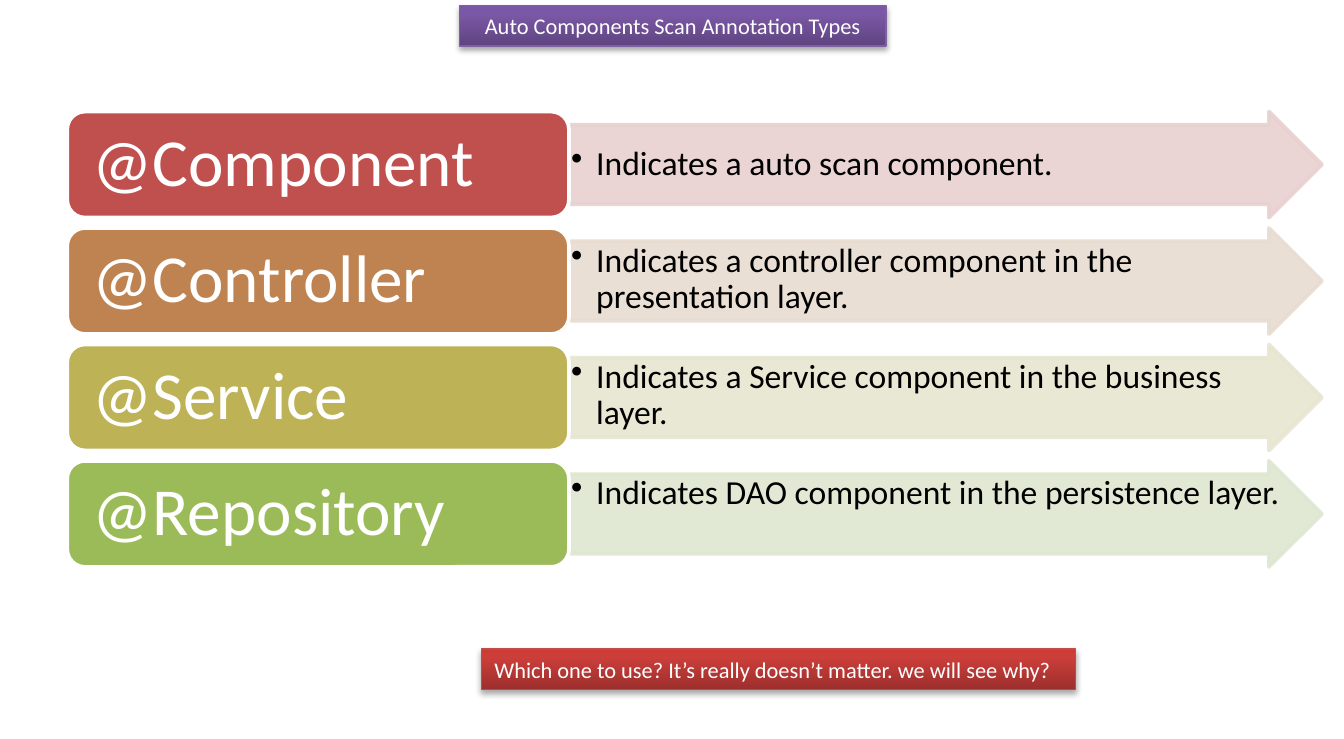
"""Build a slide that explains the auto component scan annotation types."""
from copy import deepcopy

from pptx import Presentation
from pptx.dml.color import RGBColor
from pptx.enum import shapes, text
from pptx.oxml import ns, parse_xml
from pptx.util import Pt

FONT = "Calibri"
WHITE = RGBColor(0xFF, 0xFF, 0xFF)
BLACK = RGBColor(0x00, 0x00, 0x00)
PURPLE_LINE = RGBColor(0x7D, 0x60, 0xA0)
PURPLES = [RGBColor(0x5F, 0x44, 0x80), RGBColor(0x7B, 0x58, 0xA6), RGBColor(0x7C, 0x57, 0xA8)]
RED_LINE = RGBColor(0xBF, 0x4C, 0x48)
REDS = [RGBColor(0x9C, 0x2F, 0x2D), RGBColor(0xCB, 0x3E, 0x3A), RGBColor(0xCE, 0x3B, 0x37)]
GRADIENT_POSITIONS = [0, 0.8, 1]

LEFT, CENTER = text.PP_ALIGN.LEFT, text.PP_ALIGN.CENTER
TOP, MIDDLE = text.MSO_ANCHOR.TOP, text.MSO_ANCHOR.MIDDLE

BANNERS = [
    ("Auto Components Scan Annotation Types", (246.2, 2.9, 228.5, 21.8), CENTER, PURPLES, PURPLE_LINE),
    ("Which one to use? It’s really doesn’t matter. we will see why?",
     (257.8, 347.8, 318.4, 21.8), LEFT, REDS, RED_LINE),
]
ANNOTATIONS = [
    ("@Component", "Indicates a auto scan component.", MIDDLE,
     RGBColor(0xC0, 0x50, 0x4D), RGBColor(0xE8, 0xD0, 0xD0)),
    ("@Controller", "Indicates a controller component in the presentation layer.", TOP,
     RGBColor(0xBE, 0x83, 0x51), RGBColor(0xE8, 0xDC, 0xD0)),
    ("@Service", "Indicates a Service component in the business layer.", TOP,
     RGBColor(0xBD, 0xB2, 0x55), RGBColor(0xE7, 0xE6, 0xD1)),
    ("@Repository", "Indicates DAO component in the persistence layer.", TOP,
     RGBColor(0x9B, 0xBB, 0x59), RGBColor(0xDE, 0xE7, 0xD1)),
]

ROW_TOP, ROW_PITCH, ROW_HEIGHT = 59.8, 62.4, 56.8
NAME_LEFT, NAME_WIDTH, NAME_PAD = 36, 268.8, 2.8
ARROW_LEFT, ARROW_WIDTH, ARROW_PAD = 305, 403.2, 7.1
ARROW_TEXT_WIDTH = 381.8

SHADOW = (
    f'<a:effectLst {ns.nsdecls("a")}><a:outerShdw blurRad="{Pt(3.1)}" dist="{Pt(1.8)}" '
    'dir="5400000" rotWithShape="0"><a:srgbClr val="000000"><a:alpha val="35000"/>'
    '</a:srgbClr></a:outerShdw></a:effectLst>'
)


def add_outline(slide, kind, box, line_color, line_width):
    shape = slide.shapes.add_shape(kind, *map(Pt, box))
    shape.shadow.inherit = False
    shape.line.color.rgb = line_color
    shape.line.width = Pt(line_width)
    return shape


def add_block(slide, kind, box, fill_color, line_color):
    shape = add_outline(slide, kind, box, line_color, 2)
    shape.fill.solid()
    shape.fill.fore_color.rgb = fill_color
    return shape


def write(shape, words, size, color, anchor, insets, align=LEFT):
    frame = shape.text_frame
    frame.word_wrap = True
    frame.vertical_anchor = anchor
    frame.margin_left = frame.margin_right = Pt(insets[0])
    frame.margin_top = frame.margin_bottom = Pt(insets[1])
    paragraph = frame.paragraphs[0]
    paragraph.text = words
    paragraph.alignment = align
    return paragraph, (size, color)


def set_font(paragraph, style):
    paragraph.font.name = FONT
    paragraph.font.size, paragraph.font.color.rgb = Pt(style[0]), style[1]


def add_bullet(paragraph):
    properties = paragraph._p.get_or_add_pPr()
    properties.set("marL", str(Pt(13.5)))
    properties.set("indent", str(Pt(-13.5)))
    properties.append(parse_xml(f'<a:buChar {ns.nsdecls("a")} char="•"/>'))


def add_banner(slide, words, box, align, colors, line_color):
    shape = add_outline(slide, shapes.MSO_SHAPE.RECTANGLE, box, line_color, 0.75)
    shape.fill.gradient()
    shape.fill.gradient_angle = 90
    stop_list = shape._element.spPr.find(".//" + ns.qn("a:gsLst"))
    stop_list.append(deepcopy(stop_list[0]))
    for stop, position, color in zip(shape.fill.gradient_stops, GRADIENT_POSITIONS, colors):
        stop.position = position
        stop.color.rgb = color
    properties = shape._element.spPr
    properties.replace(properties.find(ns.qn("a:effectLst")), parse_xml(SHADOW))
    set_font(*write(shape, words, 12, WHITE, TOP, (7.2, 3.6), align))
    shape.text_frame.auto_size = text.MSO_AUTO_SIZE.SHAPE_TO_FIT_TEXT


def add_annotation(slide, top, name, meaning, anchor, color, tint):
    arrow = add_block(slide, shapes.MSO_SHAPE.RIGHT_ARROW,
                      (ARROW_LEFT, top, ARROW_WIDTH, ROW_HEIGHT), tint, tint)
    arrow.adjustments[0], arrow.adjustments[1] = 0.75, 0.5
    for color_element in arrow._element.spPr.iter(ns.qn("a:srgbClr")):
        color_element.append(parse_xml(f'<a:alpha {ns.nsdecls("a")} val="90000"/>'))
    meaning_box = slide.shapes.add_textbox(
        Pt(ARROW_LEFT), Pt(top + ARROW_PAD), Pt(ARROW_TEXT_WIDTH), Pt(ROW_HEIGHT - 2 * ARROW_PAD))
    paragraph, style = write(meaning_box, meaning, 18, BLACK, anchor, (0.9, 0.9))
    paragraph.level = 1
    paragraph.line_spacing = 0.9
    add_bullet(paragraph)
    set_font(paragraph, style)

    add_block(slide, shapes.MSO_SHAPE.ROUNDED_RECTANGLE,
              (NAME_LEFT, top, NAME_WIDTH, ROW_HEIGHT), color, WHITE)
    name_box = slide.shapes.add_textbox(
        Pt(NAME_LEFT + NAME_PAD), Pt(top + NAME_PAD),
        Pt(NAME_WIDTH - 2 * NAME_PAD), Pt(ROW_HEIGHT - 2 * NAME_PAD))
    paragraph, style = write(name_box, name, 36, WHITE, MIDDLE, (10.8, 5.4))
    paragraph.line_spacing = 0.9
    set_font(paragraph, style)


def main():
    presentation = Presentation()
    presentation.slide_width, presentation.slide_height = Pt(720), Pt(396)
    slide = presentation.slides.add_slide(presentation.slide_layouts[6])
    title, question = BANNERS
    add_banner(slide, *title)
    for row, annotation in enumerate(ANNOTATIONS):
        add_annotation(slide, ROW_TOP + row * ROW_PITCH, *annotation)
    add_banner(slide, *question)
    presentation.save("out.pptx")


if __name__ == "__main__":
    main()
